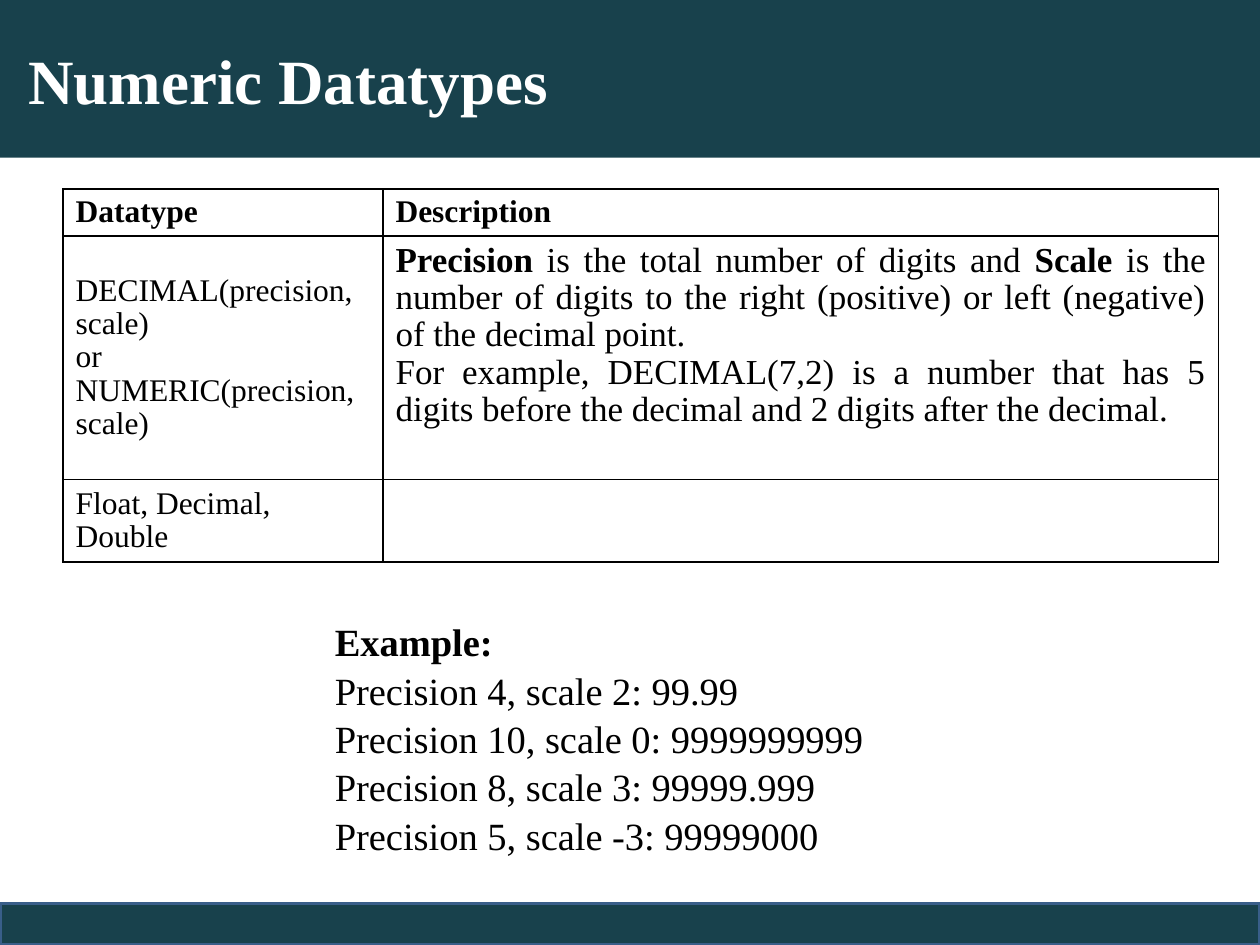
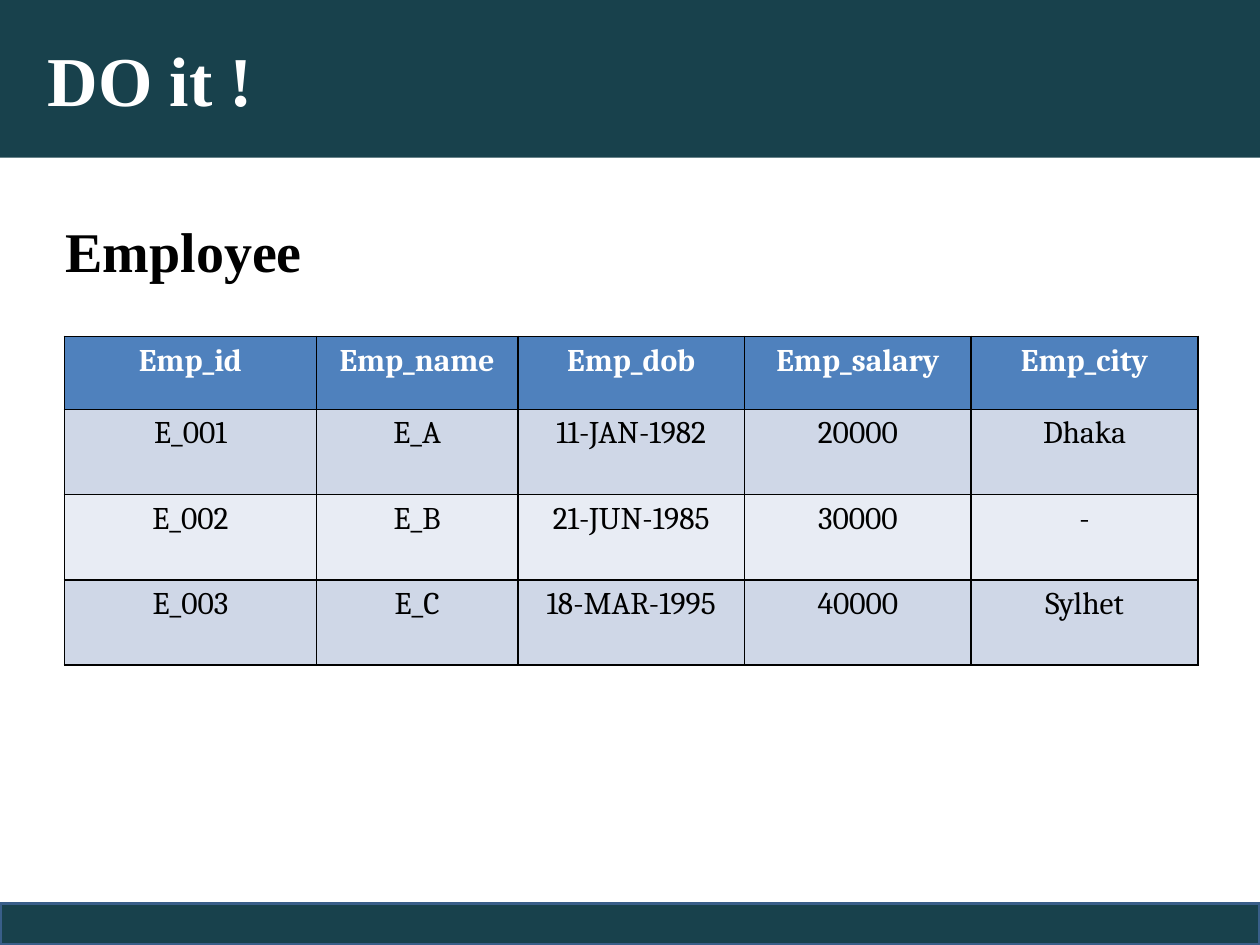
"""Build two slides on numeric datatypes and an employee exercise."""
from lxml import etree
from pptx import Presentation
from pptx import util as u
from pptx.dml.color import RGBColor
from pptx.enum import shapes, text
from pptx.oxml.ns import qn

TEAL = RGBColor(0x18, 0x41, 0x4C)
EDGE = RGBColor(0x39, 0x5E, 0x89)
BLUE = RGBColor(0x4F, 0x81, 0xBD)
BAND_DARK = RGBColor(0xCF, 0xD7, 0xE7)
BAND_LIGHT = RGBColor(0xE8, 0xEC, 0xF4)
WHITE = RGBColor(0xFF, 0xFF, 0xFF)
BLACK = RGBColor(0, 0, 0)
SERIF, CAMBRIA = "Times New Roman", "Cambria"
LEFT, CENTER, JUSTIFY = text.PP_ALIGN.LEFT, text.PP_ALIGN.CENTER, text.PP_ALIGN.JUSTIFY
MIDDLE = text.MSO_ANCHOR.MIDDLE
WIDTH, HEIGHT = 25.4, 19.05
TITLE_HEIGHT, FOOTER_HEIGHT = 3.18, 0.84

DATATYPES = [
    [["**Datatype**"], ["**Description**"]],
    [["DECIMAL(precision, scale)", "or", "NUMERIC(precision,", "scale)"],
     ["**Precision** is the total number of digits and **Scale** is the number of digits "
      "to the right (positive) or left (negative) of the decimal point.",
      "For example, DECIMAL(7,2) is a number that has 5 digits before the decimal "
      "and 2 digits after the decimal."]],
    [["Float, Decimal, Double"], []],
]
EXAMPLES = [
    "**Example:**",
    "Precision 4, scale 2: 99.99",
    "Precision 10, scale 0: 9999999999",
    "Precision 8, scale 3: 99999.999",
    "Precision 5, scale -3: 99999000",
]
EMPLOYEES = [
    ["**Emp_id**", "**Emp_name**", "**Emp_dob**", "**Emp_salary**", "**Emp_city**"],
    ["E_001", "E_A", "11-JAN-1982", "20000", "Dhaka"],
    ["E_002", "E_B", "21-JUN-1985", "30000", "-"],
    ["E_003", "E_C", "18-MAR-1995", "40000", "Sylhet"],
]


def write(tf, lines, size, font=SERIF, color=BLACK, align=LEFT, spacing=1.0):
    """Fill a text frame with one paragraph per line; ** marks bold."""
    for i, line in enumerate(lines):
        p = tf.add_paragraph() if i else tf.paragraphs[0]
        p.alignment, p.line_spacing = align, spacing
        for k, part in enumerate(line.split("**")):
            if part:
                r = p.add_run()
                r.text = part
                r.font.size, r.font.name, r.font.bold = u.Pt(size), font, k % 2 == 1
                r.font.color.rgb = color


def add_band(s, top, height):
    """Add a full-width teal band."""
    sp = s.shapes.add_shape(shapes.MSO_SHAPE.RECTANGLE, 0, u.Cm(top), u.Cm(WIDTH), u.Cm(height))
    sp.shadow.inherit = False
    sp.fill.solid()
    sp.fill.fore_color.rgb = TEAL
    return sp


def add_slide(prs, title, size, indent):
    """Add a blank slide with its footer and title band."""
    s = prs.slides.add_slide(prs.slide_layouts[6])
    footer = add_band(s, HEIGHT - FOOTER_HEIGHT, FOOTER_HEIGHT)
    footer.line.color.rgb, footer.line.width = EDGE, u.Pt(2)
    band = add_band(s, 0, TITLE_HEIGHT)
    band.line.fill.background()
    tf = band.text_frame
    tf.vertical_anchor, tf.margin_left = MIDDLE, u.Cm(indent)
    write(tf, [f"**{title}**"], size, color=WHITE)
    return s


def add_text(s, box, lines, size, spacing=1.0):
    """Add a wrapping text box."""
    tf = s.shapes.add_textbox(*map(u.Cm, box)).text_frame
    tf.word_wrap = True
    write(tf, lines, size, spacing=spacing)


def add_grid(s, left, top, widths, heights):
    """Add an unfilled table with thin black borders."""
    frame = s.shapes.add_table(len(heights), len(widths), u.Cm(left), u.Cm(top),
                               u.Cm(sum(widths)), u.Cm(sum(heights)))
    table = frame.table
    for column, width in zip(table.columns, widths):
        column.width = u.Cm(width)
    for row, height in zip(table.rows, heights):
        row.height = u.Cm(height)
    for cell in table.iter_cells():
        tc_pr = cell._tc.get_or_add_tcPr()
        for side in ("lnL", "lnR", "lnT", "lnB"):
            ln = etree.SubElement(tc_pr, qn(f"a:{side}"), w=str(u.Pt(1)))
            fill = etree.SubElement(ln, qn("a:solidFill"))
            etree.SubElement(fill, qn("a:srgbClr"), val=str(BLACK))
        cell.fill.background()
    return table


def build_datatypes(prs):
    """Build the datatype table and its examples."""
    s = add_slide(prs, "Numeric Datatypes", 36, 0.57)
    table = add_grid(s, 1.27, 3.81, [6.45, 16.84], [0.95, 4.91, 1.66])
    for i, row in enumerate(DATATYPES):
        for j, lines in enumerate(row):
            cell = table.cell(i, j)
            if i and not j:
                cell.vertical_anchor = MIDDLE
            write(cell.text_frame, lines, 20 if i and j else 18,
                  align=LEFT if i and not j else JUSTIFY, spacing=0.96)
    add_text(s, (6.5, 12.29, 13.54, 5.89), EXAMPLES, 22, 1.05)


def build_employees(prs):
    """Build the employee table."""
    s = add_slide(prs, "DO it !", 40, 0.96)
    table = add_grid(s, 1.3, 6.78, [5.08, 4.06] + [4.57] * 3, [1.47] + [1.72] * 3)
    for i, row in enumerate(EMPLOYEES):
        fill = (BAND_DARK if i % 2 else BAND_LIGHT) if i else BLUE
        for j, value in enumerate(row):
            cell = table.cell(i, j)
            cell.fill.solid()
            cell.fill.fore_color.rgb = fill
            write(cell.text_frame, [value], 18, CAMBRIA, BLACK if i else WHITE, CENTER)
    add_text(s, (1.07, 4.24, 5.28, 1.63), ["**Employee**"], 32)


def main():
    """Build and save the deck."""
    prs = Presentation()
    prs.slide_width, prs.slide_height = u.Cm(WIDTH), u.Cm(HEIGHT)
    build_datatypes(prs)
    build_employees(prs)
    prs.save("out.pptx")


if __name__ == "__main__":
    main()
